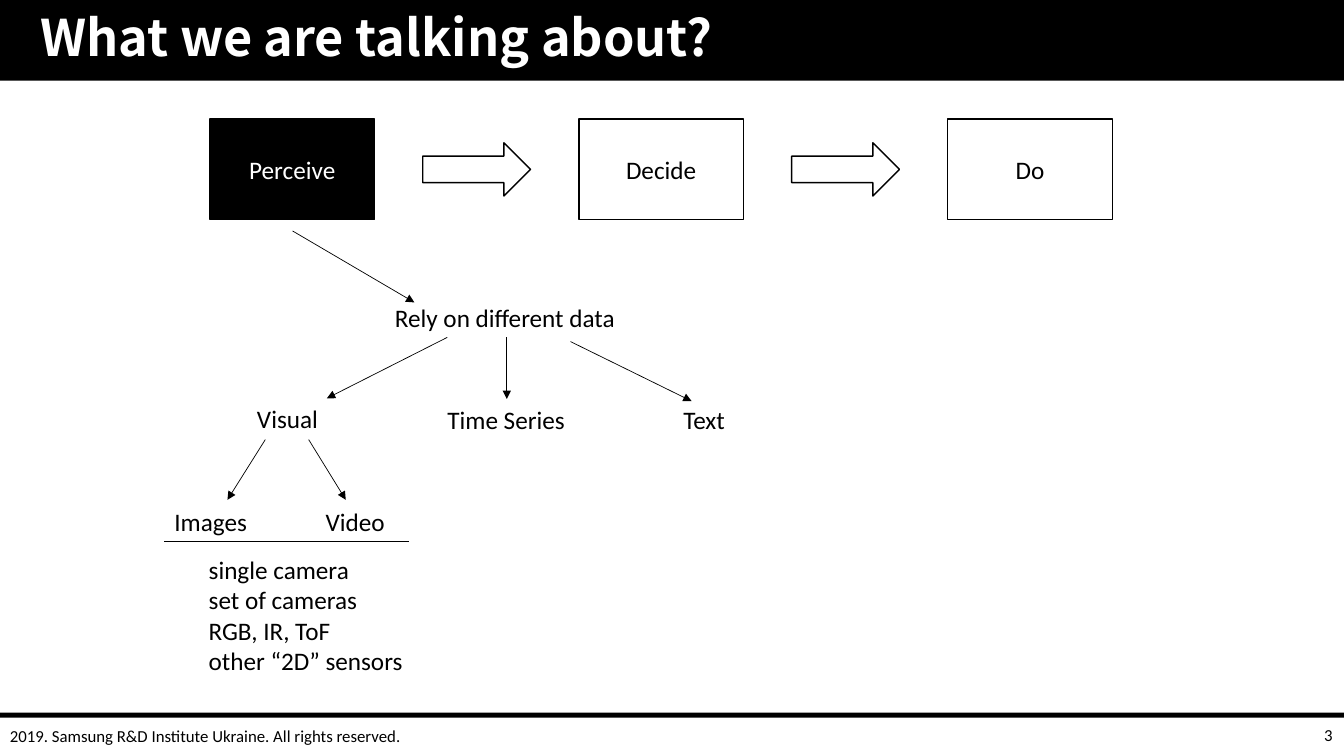
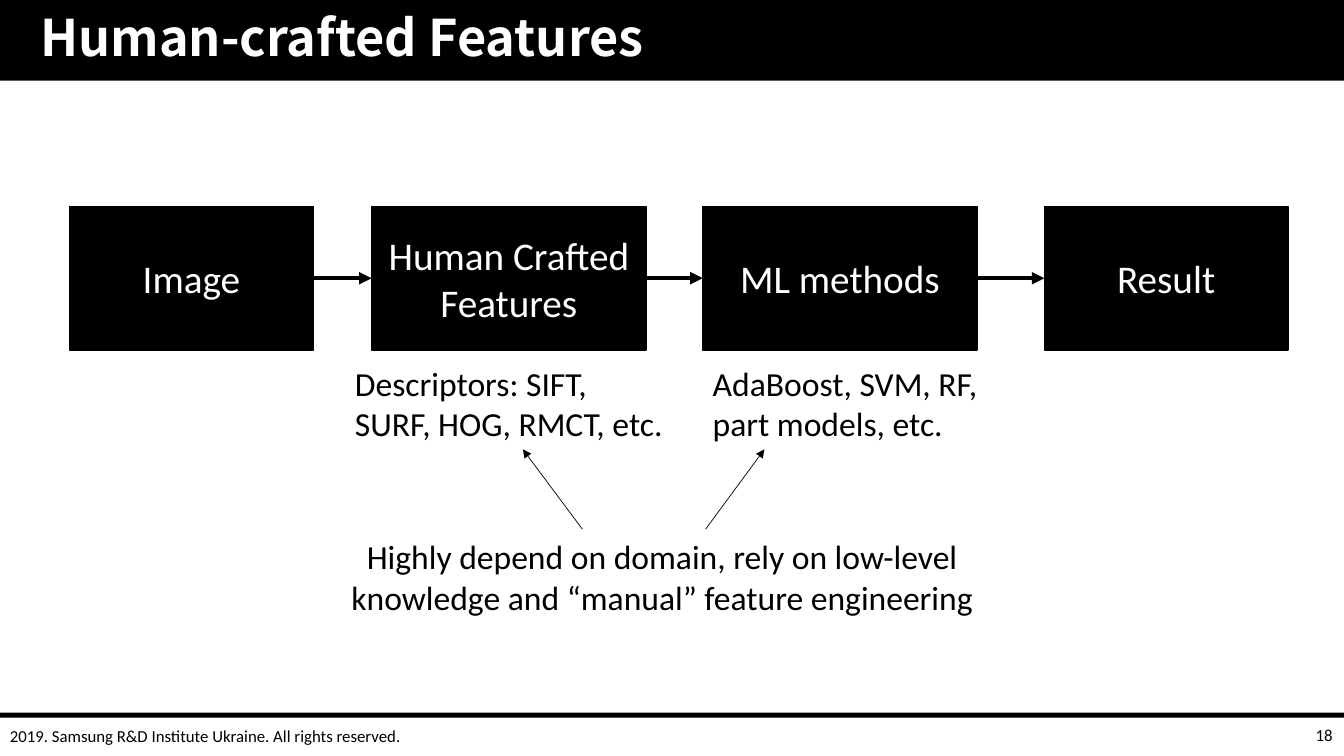
from itertools import pairwise

from pptx import Presentation
from pptx.dml.color import RGBColor
from pptx.enum.shapes import MSO_CONNECTOR, MSO_SHAPE
from pptx.enum.text import MSO_ANCHOR, MSO_AUTO_SIZE, PP_ALIGN
from pptx.oxml.ns import qn
from pptx.util import Pt
from lxml.etree import SubElement

WIDTH, HEIGHT = 960, 540
BLACK, WHITE = "000000", "FFFFFF"
BODY_FONT, TITLE_FONT = "Calibri", "Noto Sans CJK KR"
BANDS = [(0, 0, WIDTH, 57.6), (0, 509, WIDTH, 3.6)]
COPYRIGHT = "2019. Samsung R&D Institute Ukraine. All rights reserved."
THIN, THICK = 0.5, 3

# Slide 3: the steps in a row, then a tree of data kinds
STEPS = [("Perceive", BLACK, WHITE), ("Decide", WHITE, BLACK), ("Do", WHITE, BLACK)]
STEP_LEFT, STEP_TOP, STEP_WIDTH, STEP_HEIGHT, STEP_PITCH = 150, 85, 117.5, 72, 263.5
BLOCK_ARROW = (302, 102, 77, 38)
TREE_LABELS = [
    (["Rely on different data"], (275, 212.5, 173.5, 29)),
    (["Visual"], (176.5, 284.5, 58.5, 29)),
    (["Time Series"], (312.5, 285, 99.5, 29)),
    (["Text"], (481, 285, 44.5, 29)),
    (["Images"], (117.5, 358, 67, 29)),
    (["Video"], (225.5, 358, 57.5, 29)),
    (["single camera", "set of cameras", "RGB, IR, ToF", "other “2D” sensors"],
     (142, 392.5, 155, 94.5)),
]
TREE_ARROWS = [
    (209, 165, 296, 216),
    (319.5, 241, 233.5, 284.5),
    (362, 241, 362, 285),
    (407.5, 244, 494, 286.5),
    (189.5, 314, 162.5, 357),
    (220.5, 314, 247, 357),
]
TREE_RULE = (117.5, 386.5, 292.5, 386.5)

# Slide 18: a pipeline of boxes (text, left, width) with remarks below
PIPELINE = [
    ("Image", 49.5, 174.5),
    ("Human Crafted Features", 265.5, 196),
    ("ML methods", 502, 196),
    ("Result", 746, 174),
]
PIPELINE_TOP, PIPELINE_HEIGHT = 147.5, 102.5
REMARKS = [
    ("Descriptors: SIFT, SURF, HOG, RMCT, etc.", (246.5, 255.5, 235.5, 65.5), PP_ALIGN.LEFT),
    ("AdaBoost, SVM, RF, part models, etc.", (502, 255.5, 225.5, 65.5), PP_ALIGN.LEFT),
    ("Highly depend on domain, rely on low-level knowledge and “manual” feature engineering",
     (206, 379.5, 534, 65.5), PP_ALIGN.CENTER),
]
REMARK_ARROWS = [(416, 378, 373.5, 321), (504, 378, 546, 321)]


def color(value):
    return RGBColor.from_string(value)


def points(lengths):
    return [Pt(length) for length in lengths]


def write(shape, lines, size, ink=BLACK, align=PP_ALIGN.LEFT, font=BODY_FONT, bold=False,
          **frame_format):
    """Fill a shape with one paragraph per line; extra values go to its text frame."""
    frame = shape.text_frame
    for name, value in {"word_wrap": True, **frame_format}.items():
        setattr(frame, name, value)
    for index, line in enumerate(lines):
        para = frame.add_paragraph() if index else frame.paragraphs[0]
        para.alignment = align
        span = para.add_run()
        span.text = line
        for name, value in {"size": Pt(size), "name": font, "bold": bold}.items():
            setattr(span.font, name, value)
        span.font.color.rgb = color(ink)
    return frame


def add_text(page, place, lines, size, **text_format):
    return write(page.shapes.add_textbox(*points(place)), lines, size, **text_format)


def add_block(page, place, fill, kind=MSO_SHAPE.RECTANGLE, outlined=True):
    block = page.shapes.add_shape(kind, *points(place))
    block.shadow.inherit = False
    block.fill.solid()
    block.fill.fore_color.rgb = color(fill)
    if outlined:
        block.line.color.rgb = color(BLACK)
        block.line.width = Pt(1)
    else:
        block.line.fill.background()
    return block


def add_line(page, ends, weight=THIN, arrow=True):
    line = page.shapes.add_connector(MSO_CONNECTOR.STRAIGHT, *points(ends))
    line.line.color.rgb = color(BLACK)
    line.line.width = Pt(weight)
    if arrow:
        SubElement(line.line._get_or_add_ln(), qn("a:tailEnd"), type="triangle")
    SubElement(line._element.spPr, qn("a:effectLst"))


def add_page(deck, title, number):
    """Add a slide with the bands, title and footer that all slides share."""
    page = deck.slides.add_slide(deck.slide_layouts[6])
    for band in BANDS:
        add_block(page, band, BLACK, outlined=False)
    middle = {"vertical_anchor": MSO_ANCHOR.MIDDLE}
    heading = add_text(page, (0, 0, 831.5, 57.6), [title], 36, ink=WHITE, font=TITLE_FONT,
                       bold=True, margin_left=Pt(28.8), **middle)
    heading.paragraphs[0].line_spacing = 0.9
    add_text(page, (0, 511, 310, 29), [COPYRIGHT], 12, **middle)
    add_text(page, (743, 510.5, 216, 29), [str(number)], 12, align=PP_ALIGN.RIGHT, **middle)
    return page


def build_data_tree(deck):
    page = add_page(deck, "What we are talking about?", 3)
    for index, (name, fill, ink) in enumerate(STEPS):
        shift = index * STEP_PITCH
        step = add_block(page, (STEP_LEFT + shift, STEP_TOP, STEP_WIDTH, STEP_HEIGHT), fill)
        write(step, [name], 18, ink, PP_ALIGN.CENTER, vertical_anchor=MSO_ANCHOR.MIDDLE)
        if index < len(STEPS) - 1:
            left, *rest = BLOCK_ARROW
            add_block(page, (left + shift, *rest), WHITE, MSO_SHAPE.RIGHT_ARROW)
    for lines, place in TREE_LABELS:
        add_text(page, place, lines, 18, word_wrap=False,
                 auto_size=MSO_AUTO_SIZE.SHAPE_TO_FIT_TEXT)
    for ends in TREE_ARROWS:
        add_line(page, ends)
    add_line(page, TREE_RULE, arrow=False)


def build_pipeline(deck):
    page = add_page(deck, "Human-crafted Features", 18)
    for name, left, width in PIPELINE:
        stage = add_block(page, (left, PIPELINE_TOP, width, PIPELINE_HEIGHT), BLACK)
        write(stage, [name], 28, WHITE, PP_ALIGN.CENTER, vertical_anchor=MSO_ANCHOR.MIDDLE)
    center = PIPELINE_TOP + PIPELINE_HEIGHT / 2
    for (_, left, width), (_, next_left, _) in pairwise(PIPELINE):
        add_line(page, (left + width, center, next_left, center), THICK)
    for text, place, align in REMARKS:
        add_text(page, place, [text], 24, align=align,
                 auto_size=MSO_AUTO_SIZE.SHAPE_TO_FIT_TEXT)
    for ends in REMARK_ARROWS:
        add_line(page, ends)


def main():
    deck = Presentation()
    deck.slide_width, deck.slide_height = Pt(WIDTH), Pt(HEIGHT)
    build_data_tree(deck)
    build_pipeline(deck)
    deck.save("out.pptx")


if __name__ == "__main__":
    main()
